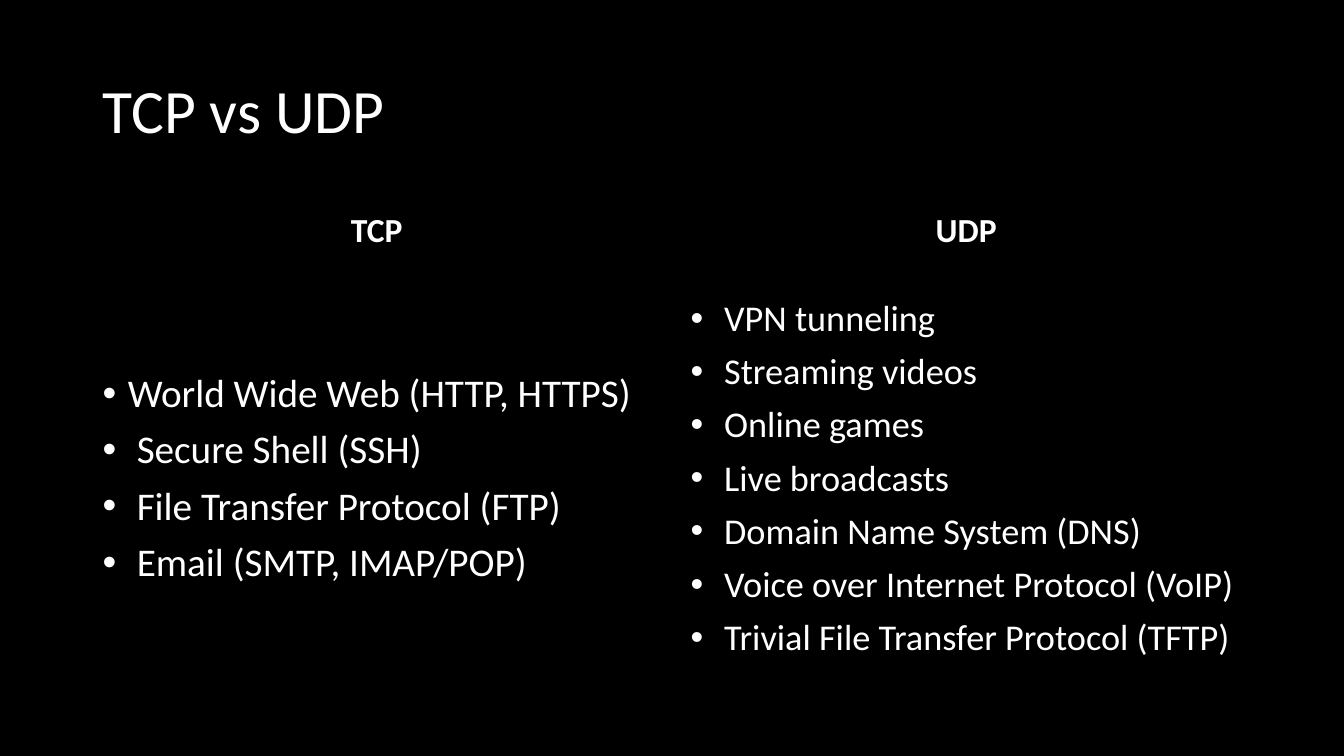
import pptx
import pptx.util
import pptx.dml.color
import pptx.enum.text
import pptx.oxml.ns
import lxml.etree
from pptx.util import Cm, Pt


def color(hex_text):
    return pptx.dml.color.RGBColor.from_string(hex_text)


def fill_placeholder(shape, box, opacity, anchor, lines, size, bold=False):
    """Place a placeholder, give it a translucent fill and write its lines."""
    shape.left, shape.top, shape.width, shape.height = [Cm(value) for value in box]
    shape.fill.solid()
    shape.fill.fore_color.rgb = color("000000")
    fill_color = shape.fill._xPr.find(".//" + pptx.oxml.ns.qn("a:srgbClr"))
    lxml.etree.SubElement(fill_color, pptx.oxml.ns.qn("a:alpha"), val=str(opacity * 1000))

    frame = shape.text_frame
    frame.word_wrap = True
    frame.auto_size = pptx.enum.text.MSO_AUTO_SIZE.NONE
    frame.vertical_anchor = anchor
    for index, line in enumerate(lines):
        paragraph = frame.paragraphs[0] if index == 0 else frame.add_paragraph()
        paragraph.line_spacing = 0.9
        run = paragraph.add_run()
        run.text = line
        run.font.name = "Calibri"
        run.font.size = Pt(size)
        run.font.bold = bold
        run.font.color.rgb = color("FFFFFF")
    return frame.paragraphs


# Slide with the comparison layout on black
presentation = pptx.Presentation()
presentation.slide_width = Cm(33.87)
presentation.slide_height = Cm(19.05)
slide = presentation.slides.add_slide(presentation.slide_layouts.get_by_name("Comparison"))
slide.background.fill.solid()
slide.background.fill.fore_color.rgb = color("000000")
middle = pptx.enum.text.MSO_ANCHOR.MIDDLE
bottom = pptx.enum.text.MSO_ANCHOR.BOTTOM

# Title
title = fill_placeholder(slide.shapes.title, (2.33, 1.01, 29.21, 3.68), 16, middle, ["TCP vs UDP"], 44)
title[0].alignment = pptx.enum.text.PP_ALIGN.LEFT

# Two columns: left, width, heading, list size, items
columns = [
    (2.33, 14.33, "TCP", 28, [
        "World Wide Web (HTTP, HTTPS)",
        " Secure Shell (SSH)",
        " File Transfer Protocol (FTP)",
        " Email (SMTP, IMAP/POP)",
    ]),
    (17.15, 14.4, "UDP", 25.9, [
        " VPN tunneling",
        " Streaming videos",
        " Online games",
        " Live broadcasts",
        " Domain Name System (DNS)",
        " Voice over Internet Protocol (VoIP)",
        " Trivial File Transfer Protocol (TFTP)",
    ]),
]
bodies = list(slide.placeholders)[1:5]
for (left, width, heading, size, items), heading_shape, list_shape in zip(columns, bodies[::2], bodies[1::2]):
    # Column heading
    heading_paragraphs = fill_placeholder(
        heading_shape, (left, 5.05, width, 1.37), 34, bottom, [heading], 24, bold=True)
    heading_paragraphs[0].alignment = pptx.enum.text.PP_ALIGN.CENTER
    heading_paragraphs[0].space_before = Pt(10)

    # Bulleted list with a hanging indent
    for paragraph in fill_placeholder(list_shape, (left, 6.96, width, 10.24), 34, middle, items, size):
        paragraph.space_before = Pt(10)
        properties = paragraph._p.get_or_add_pPr()
        properties.set("marL", str(Cm(0.64)))
        properties.set("indent", str(-Cm(0.64)))
        lxml.etree.SubElement(properties, pptx.oxml.ns.qn("a:buFont"), typeface="Arial")
        lxml.etree.SubElement(properties, pptx.oxml.ns.qn("a:buChar"), char="•")

presentation.save("out.pptx")
